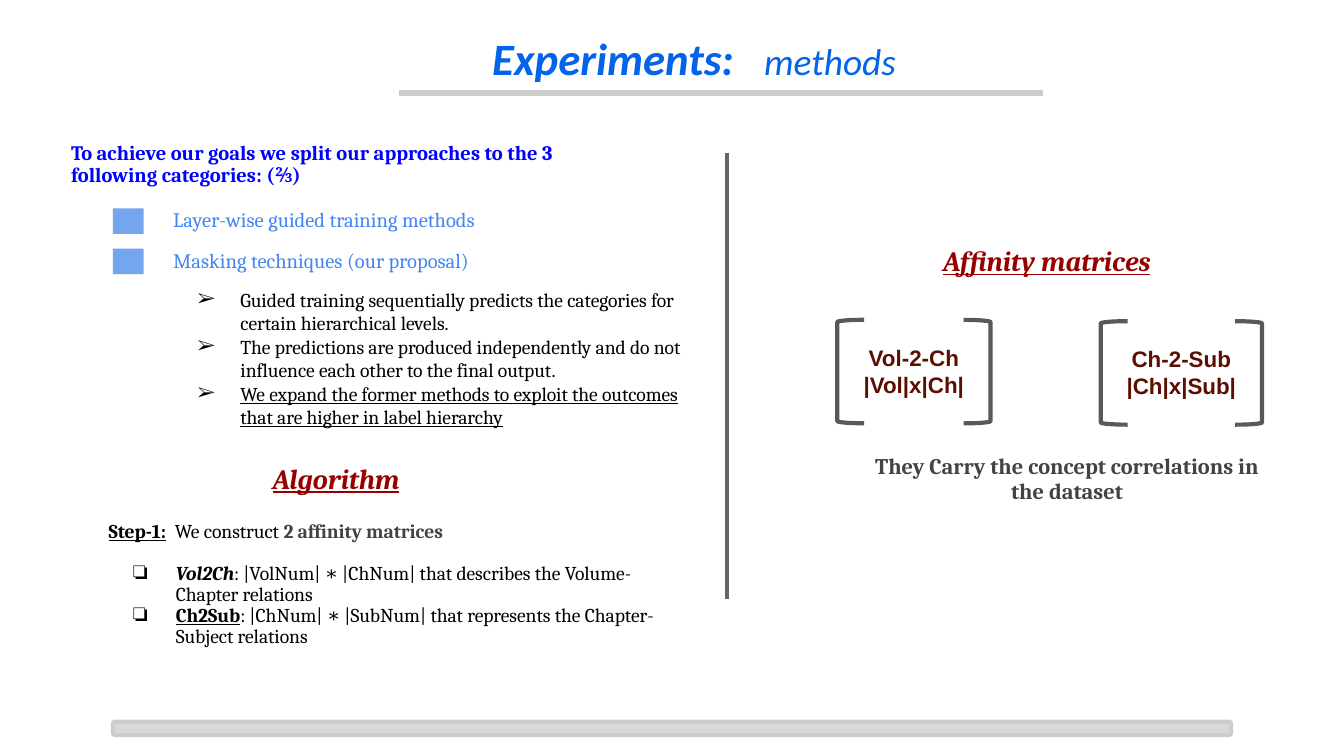
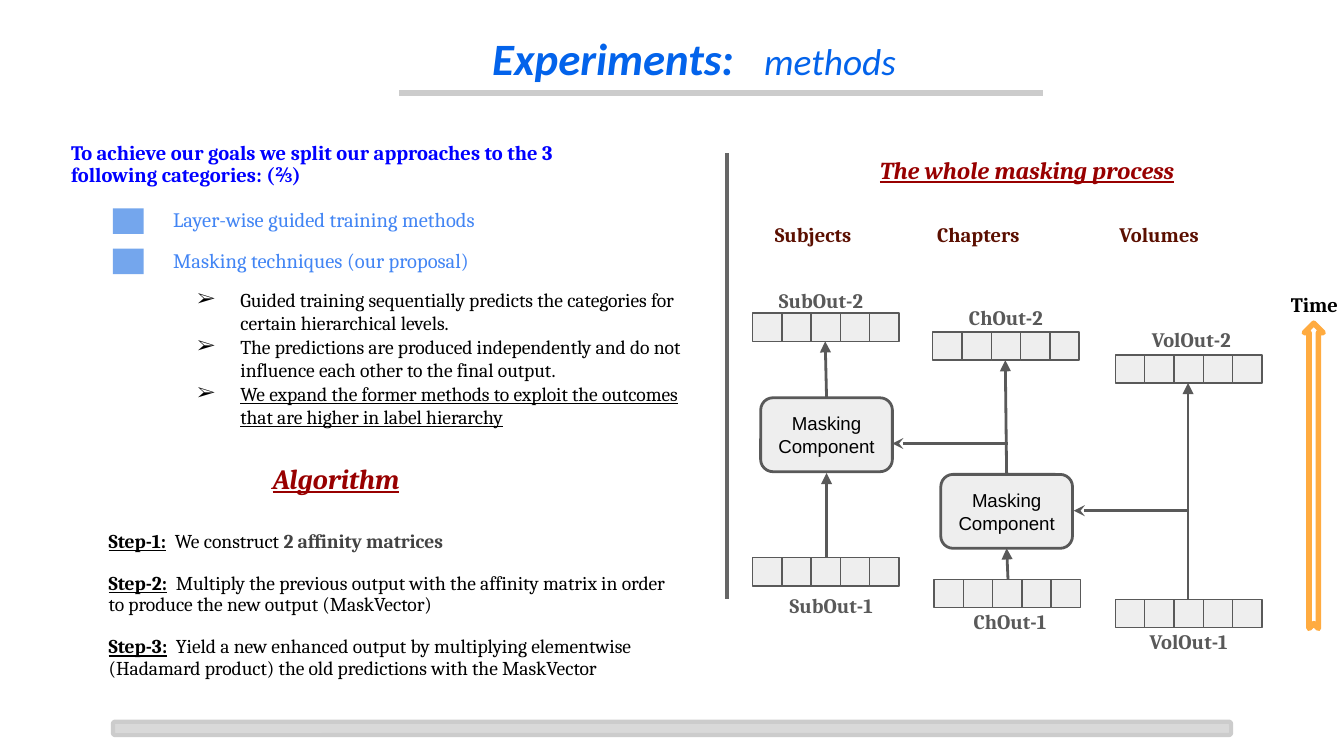
from lxml import etree
from pptx import Presentation
from pptx.dml.color import RGBColor
from pptx.enum.shapes import MSO_CONNECTOR, MSO_SHAPE
from pptx.enum.text import MSO_ANCHOR, MSO_AUTO_SIZE, PP_ALIGN
from pptx.oxml.ns import qn
from pptx.util import Inches, Pt

LEFT, MID = PP_ALIGN.LEFT, PP_ALIGN.CENTER
TOP, CORE = MSO_ANCHOR.TOP, MSO_ANCHOR.MIDDLE
RECT, ROUND = MSO_SHAPE.RECTANGLE, MSO_SHAPE.ROUNDED_RECTANGLE
HOOK, ARROW = MSO_SHAPE.LEFT_BRACKET, MSO_SHAPE.NOTCHED_RIGHT_ARROW
FIXED = MSO_AUTO_SIZE.NONE
STRAIGHT = MSO_CONNECTOR.STRAIGHT

# Theme: colours, text styles (font, size, colour, bold/italic/underline)
THEME = {
    "rule": "CCCCCC", "bar": "D9D9D9", "split": "666666", "mark": "74A6ED",
    "ink": "595959", "cell": "EEEEEE", "white": "FFFFFF", "time": "FFAB40",
    "black": "000000",
    "text": {
        "title": ("Calibri", 24, "0363EB", "bi"),
        "topic": ("Calibri", 20, "0363EB", "i"),
        "lead": ("Cambria", 11, "0000FF", "b"),
        "item": ("Cambria", 11, "4285F4", ""),
        "body": ("Cambria", 10.5, "000000", ""),
        "under": ("Cambria", 10.5, "000000", "u"),
        "step": ("Cambria", 10.5, "000000", "bu"),
        "term": ("Cambria", 10.5, "000000", "bi"),
        "key": ("Cambria", 10.5, "434343", "b"),
        "head": ("Cambria", 15, "980000", "biu"),
        "whole": ("Cambria", 13, "980000", "biu"),
        "note": ("Cambria", 12, "434343", "b"),
        "group": ("Cambria", 11, "5B0F00", "b"),
        "label": ("Cambria", 11, "595959", "b"),
        "clock": ("Cambria", 11, "000000", "b"),
        "matrix": ("Arial", 12, "5B0F00", "b"),
        "mask": ("Arial", 10, "000000", ""),
    },
    # Extra width of a single space, in hundredths of a point
    "gap": {"title": 1080, "body": 230},
}


def write(shape, paras, align=LEFT, anchor=TOP, lead=None, after=0):
    """Fill a shape with paragraphs, each a bullet mark and its runs."""
    frame = shape.text_frame
    frame.word_wrap, frame.auto_size = True, FIXED
    frame.vertical_anchor = anchor
    frame.margin_left = frame.margin_right = Inches(0.1)
    frame.margin_top = frame.margin_bottom = Inches(0.1)
    for i, (mark, runs) in enumerate(paras):
        para = frame.add_paragraph() if i else frame.paragraphs[0]
        para.alignment = align
        if lead:
            para.line_spacing = lead
        if after and not mark and i < len(paras) - 1:
            para.space_after = Pt(after)
        if mark:
            props = para._p.get_or_add_pPr()
            props.set("marL", str(Inches(0.5)))
            props.set("indent", str(Inches(-0.32)))
            tint = etree.SubElement(props, qn("a:buClr"))
            etree.SubElement(tint, qn("a:srgbClr"), val=THEME["black"])
            etree.SubElement(props, qn("a:buFont"), typeface="Cambria")
            etree.SubElement(props, qn("a:buChar"), char=mark)
        for words, style in runs:
            face, size, color, flags = THEME["text"][style]
            run = para.add_run()
            run.text = words
            font = run.font
            font.name, font.size = face, Pt(size)
            font.color.rgb = RGBColor.from_string(color)
            font.bold, font.italic = "b" in flags, "i" in flags
            font.underline = "u" in flags
            if words == " ":
                run._r.get_or_add_rPr().set("spc", str(THEME["gap"][style]))


def draw(page, kind, box, fill=None, edge=None, width=0.75):
    """Add a preset shape; fill and edge are theme colour names."""
    shape = page.shapes.add_shape(kind, *map(Inches, box))
    shape.shadow.inherit = False
    if fill:
        shape.fill.solid()
        shape.fill.fore_color.rgb = RGBColor.from_string(THEME[fill])
    else:
        shape.fill.background()
    if edge:
        shape.line.color.rgb = RGBColor.from_string(THEME[edge])
        shape.line.width = Pt(width)
    else:
        shape.line.fill.background()
    return shape


# Shared content: lines as start, end, colour, width, arrow end, arrow type
lines = [
    (2.97, 0.69, 7.76, 0.69, "rule", 3, None, None),
    (5.41, 1.14, 5.41, 4.46, "split", 2.25, None, None),
]
items = ["Layer-wise guided training methods", "Masking techniques (our proposal)"]
points = [
    ("➢", [("Guided training sequentially predicts the categories for "
            "certain hierarchical levels.", "body")]),
    ("➢", [("The predictions are produced independently and do not "
            "influence each other to the final output.", "body")]),
    ("➢", [("We expand the former methods to exploit the outcomes "
            "that are higher in label hierarchy", "under")]),
]
first = ("", [("Step-1:", "step"), (" ", "body"), ("We construct ", "body"),
              ("2 affinity matrices", "key")])

# Slide 1: what each affinity matrix holds
pairs = [
    first,
    ("❏", [("Vol2Ch", "term"), (": |VolNum| ∗ |ChNum| that describes the "
                                "Volume-Chapter relations", "body")]),
    ("❏", [("Ch2Sub", "step"), (": |ChNum| ∗ |SubNum| that represents the "
                                "Chapter-Subject relations", "body")]),
]

# Slide 2: the three steps and the arrows of the process
steps = [
    first,
    ("", [("Step-2:", "step"), (" ", "body"),
          ("Multiply the previous output with the affinity matrix in order "
           "to produce the new output (MaskVector)", "body")]),
    ("", [("Step-3:", "step"), (" ", "body"),
          ("Yield a new enhanced output by multiplying elementwise (Hadamard "
           "product) the old predictions with the MaskVector", "body")]),
]
flows = [(*ends, "ink", 1.5, "a:tailEnd", "triangle") for ends in (
    (7.49, 3.53, 7.48, 2.68), (6.15, 2.96, 6.14, 2.54), (8.84, 4.46, 8.84, 2.85),
    (7.5, 4.31, 7.49, 4.08), (6.15, 4.15, 6.15, 3.52))]
flows += [(*ends, "ink", 1.5, "a:headEnd", "stealth") for ends in (
    (7.99, 3.8, 8.84, 3.8), (6.64, 3.3, 7.5, 3.3))]

# Text boxes of each slide: box, style, words
notes = [
    ((6.78, 1.74, 2.02, 0.43), "head", "Affinity matrices"),
    ((6.36, 3.29, 3.16, 0.57), "note",
     "They Carry the concept correlations in the dataset"),
]
heads = [((6.35, 1.08, 2.58, 0.4), "whole", "The whole masking process")]

# Widescreen deck, 16:9
deck = Presentation()
deck.slide_width = Inches(10)
deck.slide_height = deck.slide_width * 9 // 16
pages = []

# Both slides: title, rules, left column, footer bar
for links, plan, high, texts in (
        (lines, pairs, 1.16, notes), (lines + flows, steps, 1.47, heads)):
    page = deck.slides.add_slide(deck.slide_layouts[5])
    pages.append(page)
    title = page.shapes.title
    title.left, title.top = Inches(2.94), Inches(0.13)
    title.width, title.height = Inches(4.45), Inches(0.63)
    write(title, [("", [("Experiments:", "title"), (" ", "title"),
                        ("methods", "topic")])], MID)

    for x1, y1, x2, y2, color, width, end, tip in links:
        line = page.shapes.add_connector(STRAIGHT, *map(Inches, (x1, y1, x2, y2)))
        line.line.color.rgb = RGBColor.from_string(THEME[color])
        line.line.width = Pt(width)
        if end:
            etree.SubElement(line.line._get_or_add_ln(), qn(end), type=tip)
        etree.SubElement(line._element.spPr, qn("a:effectLst"))

    draw(page, ROUND, (0.84, 5.37, 8.32, 0.1), "bar", "rule", 2.25)

    lead = page.shapes.add_textbox(*map(Inches, (0.43, 0.96, 4.01, 0.54)))
    write(lead, [("", [("To achieve our goals we split our approaches to the 3 "
                        "following categories: (⅔)", "lead")])], lead=0.9)
    for i, words in enumerate(items):
        draw(page, RECT, (0.84, 1.55 + 0.3 * i, 0.23, 0.19), "mark")
        item = page.shapes.add_textbox(
            *map(Inches, (1.19, 1.47 + 0.3 * i, 3.4, 0.35)))
        write(item, [("", [(words, "item")])], anchor=CORE, lead=0.9)
    body = page.shapes.add_textbox(*map(Inches, (1.19, 2.04, 4.22, 1.26)))
    write(body, points)
    body = page.shapes.add_textbox(*map(Inches, (0.71, 3.77, 4.35, high)))
    write(body, plan, anchor=CORE, lead=0.9, after=11.25)

    for box, style, words in [((1.49, 3.36, 2.02, 0.43), "head", "Algorithm"), *texts]:
        text = page.shapes.add_textbox(*map(Inches, box))
        write(text, [("", [(words, style)])], MID, lead=0.9)

# Slide 1: bracketed matrices
page = pages[0]
for x, y, wide, rows in (
        (6.23, 2.38, 0.98, ("Vol-2-Ch", "|Vol|x|Ch|")),
        (8.19, 2.39, 1.04, ("Ch-2-Sub", "|Ch|x|Sub|"))):
    box = draw(page, RECT, (x + 0.08, y + 0.08, wide, 0.61), edge="white")
    write(box, [("", [(row, "matrix")]) for row in rows], MID)
    for left, turn in ((x, 0), (x + wide - 0.04, 180)):
        hook = draw(page, HOOK, (left, y, 0.2, 0.77), edge="ink", width=2.25)
        hook.adjustments[0] = 0.083
        hook.rotation = turn

# Slide 2: masking components
page = pages[1]
for x, y in ((7, 3.53), (5.66, 2.96)):
    box = draw(page, ROUND, (x, y, 0.98, 0.55), "cell", "ink", 1.5)
    write(box, [("", [("Masking Component", "mask")])], MID, CORE)

# Output vectors: five equal cells each
size = 1.09 / 5
for x, y in ((5.6, 4.15), (5.6, 2.33), (6.94, 2.47),
             (8.3, 2.64), (6.95, 4.31), (8.3, 4.46)):
    for i in range(5):
        draw(page, RECT, (x + size * i, y, size, 0.21), "cell", "ink")

# Time arrow
draw(page, ARROW, (8.64, 3.47, 2.27, 0.14), "white", "time", 3).rotation = 270

# Labels of columns, vectors and time
for x, y, wide, style, words in (
        (5.6, 1.55, 0.9, "group", "Subjects"),
        (6.83, 1.55, 0.9, "group", "Chapters"),
        (8.16, 1.55, 0.93, "group", "Volumes"),
        (5.72, 4.31, 0.93, "label", "SubOut-1"),
        (5.53, 2.04, 1.16, "label", "SubOut-2"),
        (7.05, 4.43, 0.93, "label", "ChOut-1"),
        (7.02, 2.17, 0.93, "label", "ChOut-2"),
        (8.38, 4.58, 0.93, "label", "VolOut-1"),
        (8.4, 2.33, 0.93, "label", "VolOut-2"),
        (9.44, 2.07, 0.68, "clock", "Time")):
    text = page.shapes.add_textbox(*map(Inches, (x, y, wide, 0.39)))
    write(text, [("", [(words, style)])], MID)

deck.save("out.pptx")
